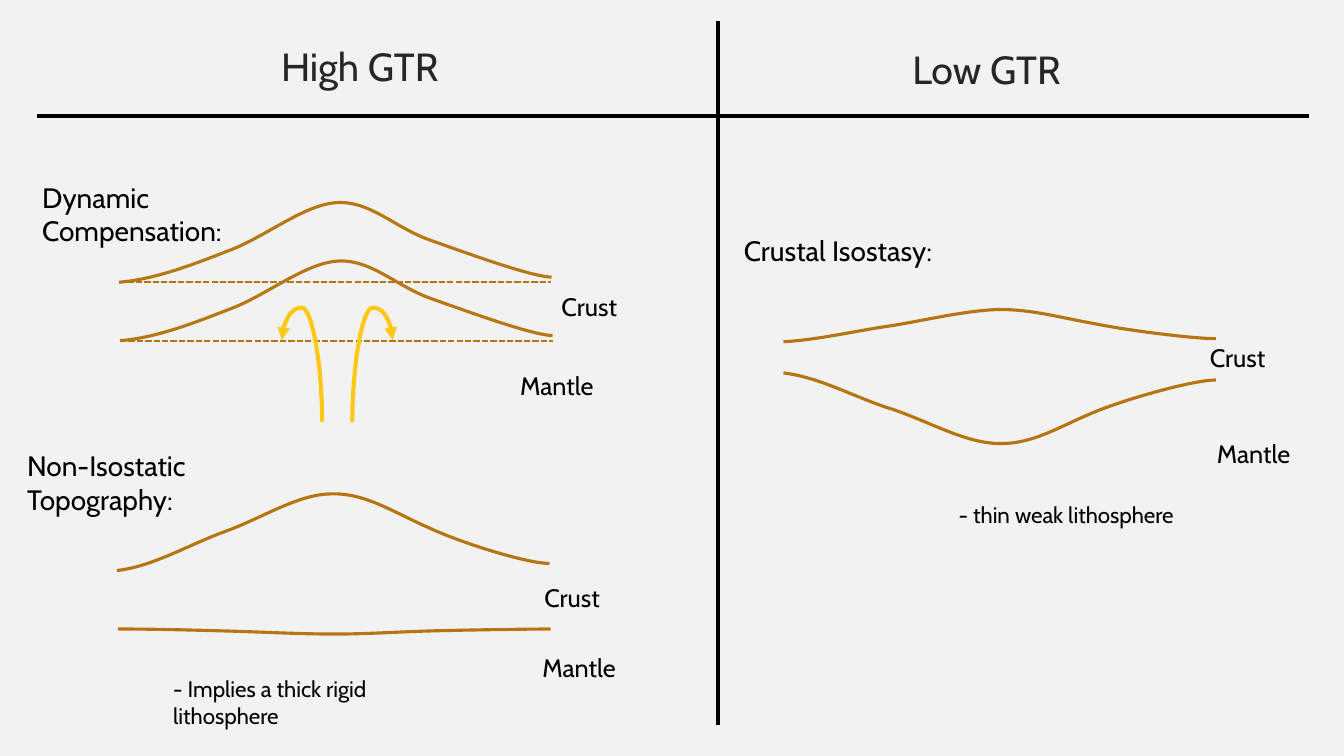
from lxml.etree import SubElement
from pptx import Presentation
from pptx.dml.color import RGBColor
from pptx.enum.dml import MSO_LINE
from pptx.enum.shapes import MSO_CONNECTOR as Link
from pptx.enum.text import MSO_ANCHOR as Anchor, MSO_AUTO_SIZE as AutoSize
from pptx.oxml.ns import qn
from pptx.util import Inches, Pt

BACKGROUND = RGBColor(0xF2, 0xF2, 0xF2)
TITLE_GREY = RGBColor(0x26, 0x26, 0x26)
BLACK = RGBColor(0, 0, 0)
DOME_BROWN = RGBColor(0xB6, 0x78, 0x15)
CRUST_BROWN = RGBColor(0xB6, 0x75, 0x11)
FLOW_YELLOW = RGBColor(0xFF, 0xC8, 0x19)

FORMATS = {
    "title": {"size": Pt(28), "name": "Cabin"},
    "heading": {"size": Pt(20), "name": "Cabin"},
    "layer": {"size": Pt(18), "name": "Cabin"},
    "note": {"size": Pt(16), "name": "Cabin"},
}

PROFILE_WIDTH = 4.29
DOME = (0, -.03, -.17, -.31, -.44, -.77, -.79, -.81, -.54, -.42, -.3, -.06, -.05)
MOUNTAIN = (0, -.04, -.26, -.39, -.52, -.76, -.76, -.77, -.58, -.43, -.27, -.07, -.07)
FLAT_BASE = (0, 0, .01, .02, .03, .05, .05, .05, .03, .02, .01, 0, 0)
LOW_RISE = (0, -.02, -.11, -.16, -.22, -.31, -.32, -.32, -.24, -.18, -.11, -.03, -.03)
DEEP_ROOT = (0, .04, .25, .36, .48, .7, .7, .71, .53, .39, .25, .07, .07)


def add_words(slide, words, style, left, top, width, height, colour=BLACK):
    box = slide.shapes.add_textbox(*map(Inches, (left, top, width, height)))
    frame = box.text_frame
    frame.word_wrap = True
    if style == "title":
        frame.vertical_anchor = Anchor.MIDDLE
    else:
        frame.auto_size = AutoSize.SHAPE_TO_FIT_TEXT
    run = frame.paragraphs[0].add_run()
    run.text = words
    for attribute, value in FORMATS[style].items():
        setattr(run.font, attribute, value)
    run.font.color.rgb = colour


def add_link(slide, kind, start, end, colour, weight):
    link = slide.shapes.add_connector(kind, *map(Inches, (*start, *end)))
    link.line.color.rgb = colour
    link.line.width = Pt(weight)
    SubElement(link._element.spPr, qn("a:effectLst"))
    return link


def add_profile(slide, left, top, rises, peak=2.14, colour=CRUST_BROWN):
    steps = (0, .36, .72, 1.08, 1.44, peak - .33, peak, peak + .33,
             2.74, 3.08, 3.42, 4.07, PROFILE_WIDTH)
    points = [(Inches(left + step), Inches(top + rise))
              for step, rise in zip(steps, rises)]
    builder = slide.shapes.build_freeform(*points[0])
    builder.add_line_segments(points[1:], close=False)
    profile = builder.convert_to_shape()
    profile.shadow.inherit = False
    profile.fill.background()
    profile.line.color.rgb = colour
    profile.line.width = Pt(2.25)
    segments = list(profile._element.iter(qn("a:lnTo")))
    for curve, second, third in zip(segments[::3], segments[1::3], segments[2::3]):
        curve.tag = qn("a:cubicBezTo")
        for segment in (second, third):
            curve.append(segment[0])
            segment.getparent().remove(segment)


def add_flow(slide, left, top, turn, mirrored):
    length, spread = .81, .4
    near, far = (left + length, left) if mirrored else (left, left + length)
    flow = add_link(slide, Link.CURVE, (near, top + spread), (far, top),
                    FLOW_YELLOW, 3)
    properties = flow._element.spPr
    properties.find(qn("a:xfrm")).set("rot", str(turn * 60000))
    geometry = properties.find(qn("a:prstGeom"))
    adjustments = geometry.find(qn("a:avLst"))
    if adjustments is None:
        adjustments = SubElement(geometry, qn("a:avLst"))
    SubElement(adjustments, qn("a:gd"), name="adj1", fmla="val 139800")
    SubElement(properties.find(qn("a:ln")), qn("a:tailEnd"), type="triangle")


def add_layers(slide, crust, mantle):
    add_words(slide, "Crust", "layer", *crust, .91, .4)
    add_words(slide, "Mantle", "layer", *mantle, 1.19, .4)


def draw_frame(slide):
    add_link(slide, Link.STRAIGHT, (7.12, .21), (7.12, 7.19), BLACK, 3)
    add_link(slide, Link.STRAIGHT, (.37, 1.15), (12.98, 1.15), BLACK, 3)
    add_words(slide, "High GTR", "title", 2.69, .34, 1.91, .63, TITLE_GREY)
    add_words(slide, "Low GTR", "title", 8.95, .37, 1.87, .63, TITLE_GREY)


def draw_dynamic_compensation(slide, left, top):
    for shift, depth in ((.86, 1.06), (.87, 1.64)):
        start, level = left + shift, top + depth
        add_profile(slide, start, level, DOME, 2.16, DOME_BROWN)
        datum = add_link(slide, Link.STRAIGHT, (start, level),
                         (start + PROFILE_WIDTH, level), CRUST_BROWN, 1.5)
        datum.line.dash_style = MSO_LINE.SQUARE_DOT
    add_flow(slide, left + 2.27, top + 1.84, 270, False)
    add_flow(slide, left + 2.97, top + 1.84, 90, True)
    add_words(slide, "Dynamic Compensation:", "heading", left, top, 1.98, .77)
    add_layers(slide, (left + 5.15, top + 1.1), (left + 4.74, top + 1.88))


def draw_non_isostatic(slide, left, top):
    add_profile(slide, left + .99, top + 1.26, MOUNTAIN, 2.13)
    add_profile(slide, left + 1, top + 1.84, FLAT_BASE)
    add_words(slide, "Non-Isostatic Topography:", "heading", left, top, 2.49, .77)
    add_layers(slide, (left + 5.13, top + 1.33), (left + 5.11, top + 2.02))
    add_words(slide, "- Implies a thick rigid lithosphere", "note",
              left + 1.45, top + 2.25, 2.37, .64)


def draw_crustal_isostasy(slide, left, top):
    add_profile(slide, left + .49, top + 1.12, LOW_RISE)
    add_profile(slide, left + .49, top + 1.43, DEEP_ROOT)
    add_words(slide, "Crustal Isostasy:", "heading", left, top, 2.62, .44)
    add_layers(slide, (left + 4.62, top + 1.08), (left + 4.69, top + 2.03))
    add_words(slide, "- thin weak lithosphere", "note",
              left + 2.13, top + 2.65, 2.37, .37)


def main():
    deck = Presentation()
    deck.slide_width, deck.slide_height = Inches(13.33), Inches(7.5)
    slide = deck.slides.add_slide(deck.slide_layouts[6])
    slide.background.fill.solid()
    slide.background.fill.fore_color.rgb = BACKGROUND
    draw_frame(slide)
    draw_dynamic_compensation(slide, .32, 1.74)
    draw_non_isostatic(slide, .17, 4.4)
    draw_crustal_isostasy(slide, 7.28, 2.27)
    deck.save("out.pptx")


if __name__ == "__main__":
    main()
